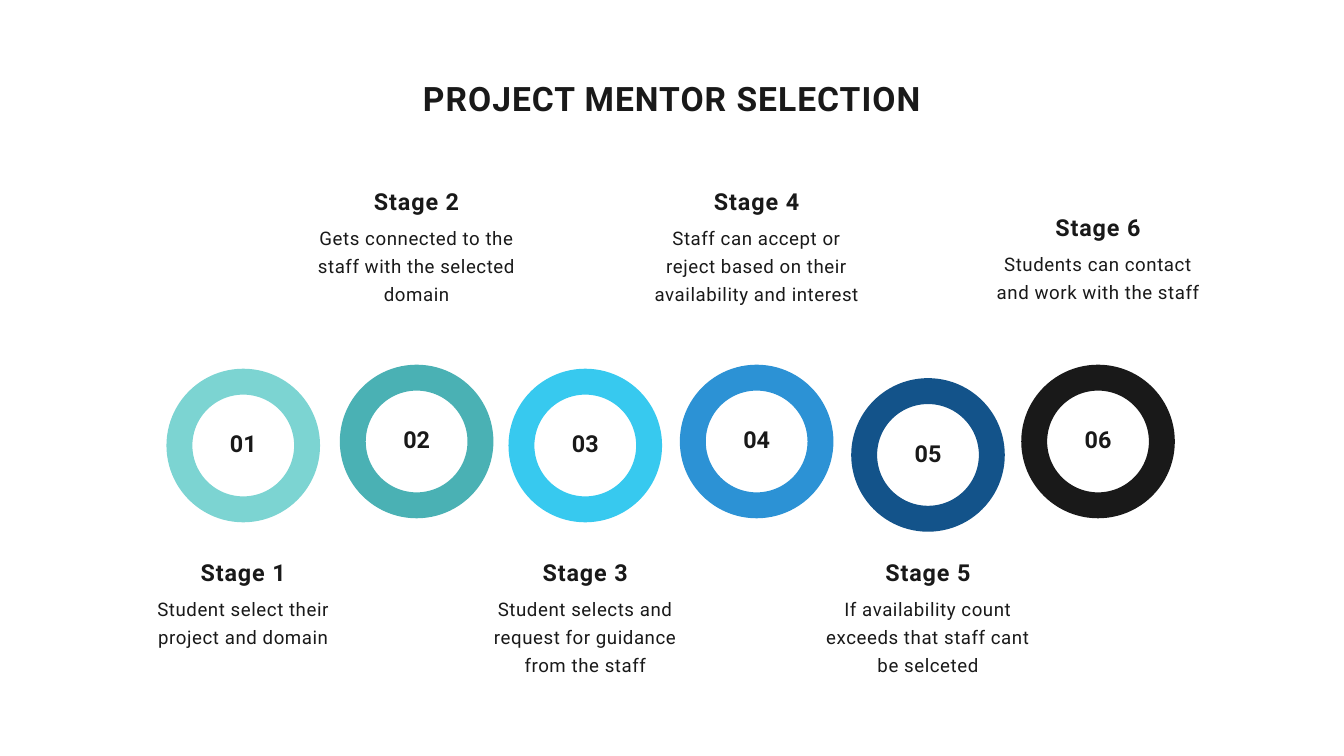
from collections import namedtuple

from pptx import Presentation
from pptx.dml.color import RGBColor
from pptx.enum.shapes import MSO_SHAPE as Shape
from pptx.enum.text import MSO_ANCHOR as Anchor, MSO_AUTO_SIZE as AutoSize, PP_ALIGN as Align
from pptx.util import Inches, Pt

COLUMNS, ROWS = 20, 11.25
UNIT = Inches(1)
FONT = "Roboto"
COLORS = {
    "ink": "191919", "paper": "FFFFFF", "mint": "7CD4D2", "teal": "4AB1B4",
    "cyan": "37C9EF", "blue": "2C92D5", "navy": "13538A",
}
RING_SIZE = 1.9
CAPTION_WIDTH = 3.3
HEADING_HEIGHT, BODY_OFFSET = 0.45, 0.58
BODY_LINE = 0.41

Box = namedtuple("Box", "left top width height")
Stage = namedtuple("Stage", "center ring_top caption_top lines color text")

STAGES = [
    Stage(3.62, 5.68, 8.23, 2, "mint", "Student select their project and domain"),
    Stage(6.2, 5.62, 2.71, 3, "teal", "Gets connected to the staff with the selected domain"),
    Stage(8.71, 5.68, 8.23, 3, "cyan", "Student selects and request for guidance from the staff"),
    Stage(11.26, 5.62, 2.71, 3, "blue",
          "Staff can accept or reject based on their availability and interest"),
    Stage(13.81, 5.82, 8.23, 3, "navy",
          "If availability count exceeds that staff cant be selceted"),
    Stage(16.34, 5.62, 3.1, 2, "ink", "Students can contact and work with the staff"),
]


def color(name):
    """Return the named palette colour."""
    return RGBColor.from_string(COLORS[name])


def to_lengths(box):
    """Convert a box in grid units to slide lengths."""
    return [round(value * UNIT) for value in box]


def write(shape, text, size, line_spacing, bold=False, tracking=0, anchor=Anchor.TOP):
    """Fill a shape with one centred paragraph."""
    frame = shape.text_frame
    frame.word_wrap = True
    frame.auto_size = AutoSize.NONE
    frame.vertical_anchor = anchor
    frame.margin_left = frame.margin_right = frame.margin_top = frame.margin_bottom = 0
    frame.text = text
    paragraph = frame.paragraphs[0]
    paragraph.alignment = Align.CENTER
    paragraph.line_spacing = Pt(line_spacing)
    paragraph.space_before = Pt(0)
    font = paragraph.font
    font.name, font.size, font.bold = FONT, Pt(size), bold
    font.color.rgb = color("ink")
    font._rPr.set("spc", str(round(tracking * 100)))


def add_title(slide, box):
    """Place the slide title."""
    title = slide.shapes.title
    title.left, title.top, title.width, title.height = to_lengths(box)
    write(title, "PROJECT MENTOR SELECTION", 36, 47.2, bold=True, tracking=1.1)


def add_ring(slide, box, number, color_name):
    """Draw a numbered ring."""
    ring = slide.shapes.add_shape(Shape.OVAL, *to_lengths(box))
    ring.shadow.inherit = False
    ring.fill.solid()
    ring.fill.fore_color.rgb = color("paper")
    ring.line.color.rgb = color(color_name)
    ring.line.width = Pt(27.75)
    write(ring, f"{number:02d}", 25, 37.5, bold=True, anchor=Anchor.MIDDLE)
    ring.text_frame.margin_bottom = round(box.height * 0.09 * UNIT)


def add_caption(slide, box, heading, text):
    """Place a stage heading above its description."""
    heading_box = box._replace(height=HEADING_HEIGHT)
    body_box = box._replace(top=box.top + BODY_OFFSET, height=box.height - BODY_OFFSET)
    write(slide.shapes.add_textbox(*to_lengths(heading_box)), heading, 25, 35,
          bold=True, tracking=1)
    write(slide.shapes.add_textbox(*to_lengths(body_box)), text, 20, 30, tracking=0.6)


def add_stage(slide, number, stage):
    """Place one stage as a ring and a caption on a shared centre."""
    ring_box = Box(stage.center - RING_SIZE / 2, stage.ring_top, RING_SIZE, RING_SIZE)
    caption_box = Box(stage.center - CAPTION_WIDTH / 2, stage.caption_top,
                      CAPTION_WIDTH, BODY_OFFSET + stage.lines * BODY_LINE)
    add_caption(slide, caption_box, f"Stage {number}", stage.text)
    add_ring(slide, ring_box, number, stage.color)


def main():
    """Build and save the presentation."""
    presentation = Presentation()
    presentation.slide_width, presentation.slide_height = to_lengths((COLUMNS, ROWS))
    slide = presentation.slides.add_slide(presentation.slide_layouts[5])
    add_title(slide, Box(4, 1.11, COLUMNS - 8, 0.64))
    for number, stage in enumerate(STAGES, start=1):
        add_stage(slide, number, stage)
    presentation.save("out.pptx")


if __name__ == "__main__":
    main()
